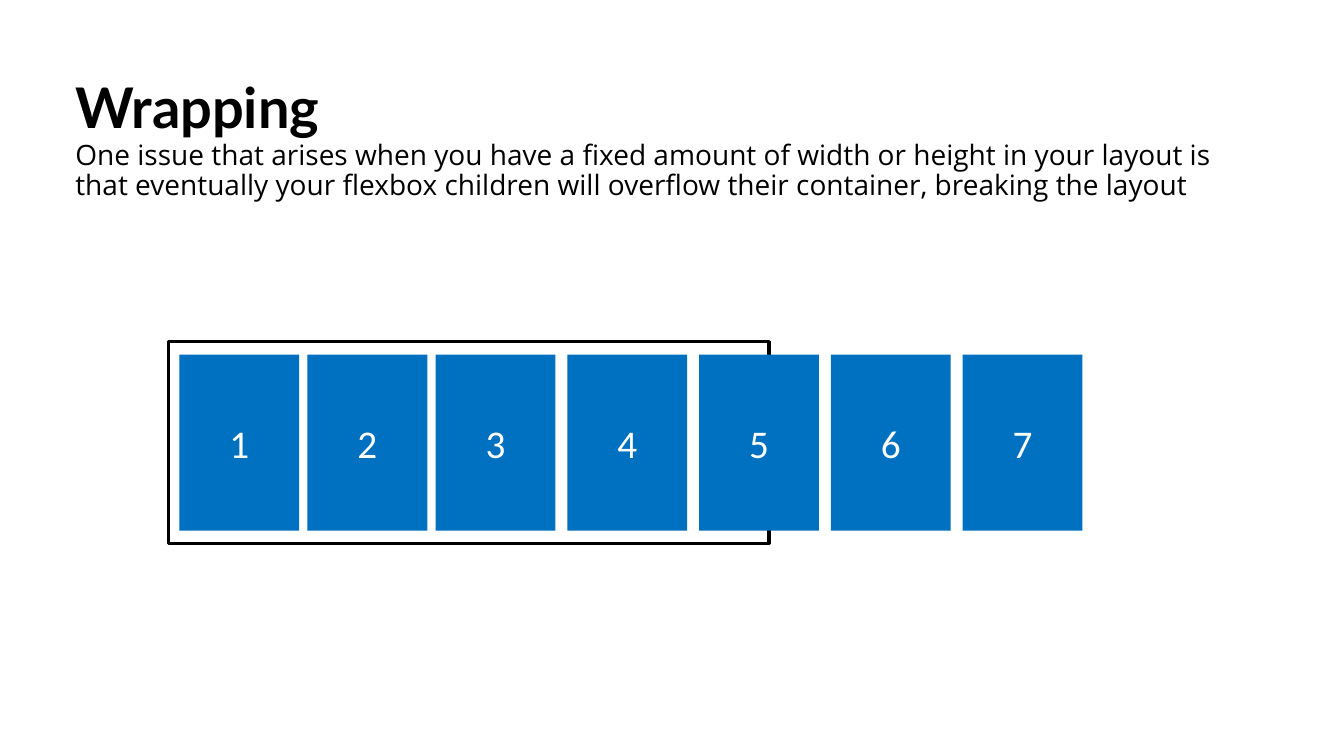
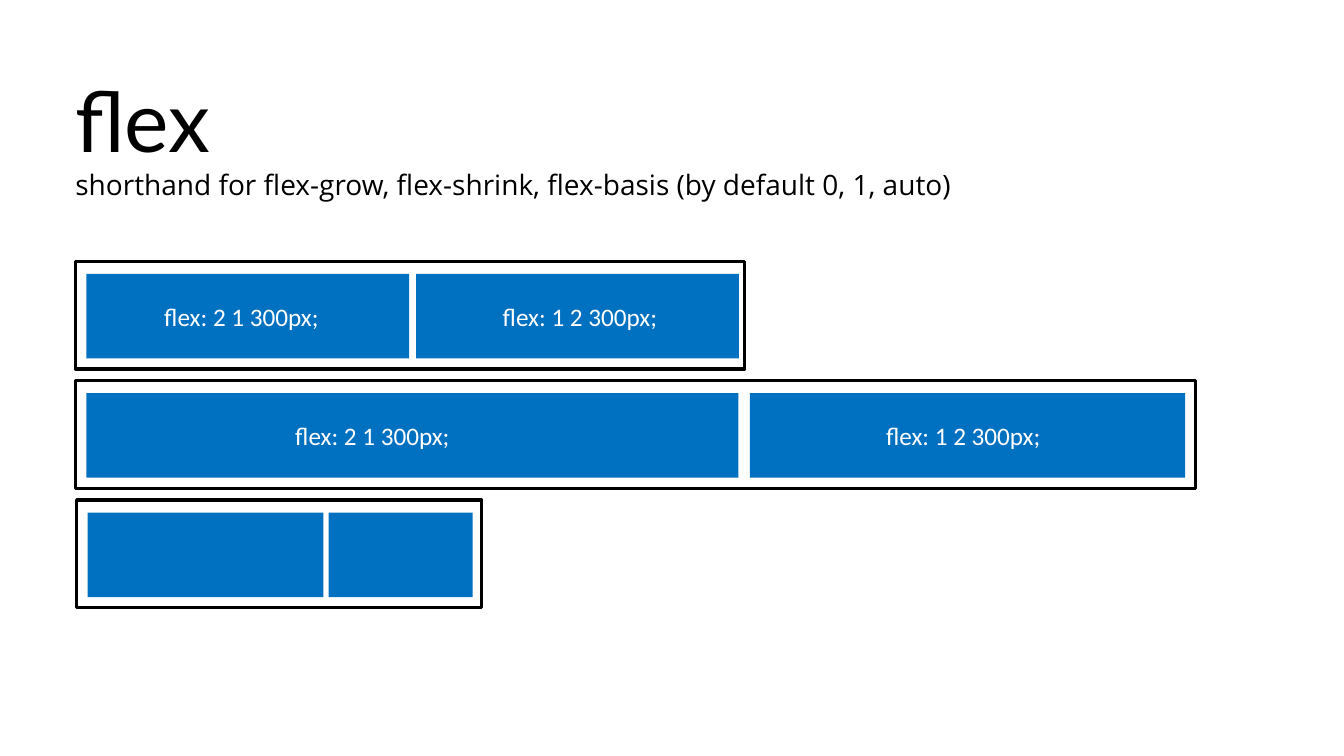
import pptx
import pptx.util
import pptx.dml.color
import pptx.enum.shapes
import pptx.enum.text

Cm, Pt = pptx.util.Cm, pptx.util.Pt
ALIGN = pptx.enum.text.PP_ALIGN
BLACK = pptx.dml.color.RGBColor(0x00, 0x00, 0x00)
WHITE = pptx.dml.color.RGBColor(0xFF, 0xFF, 0xFF)
BLUE = pptx.dml.color.RGBColor(0x00, 0x70, 0xC0)

prs = pptx.Presentation()
prs.slide_width, prs.slide_height = Cm(33.87), Cm(19.05)


def add_titled_slide(title, size, bold, description):
    s = prs.slides.add_slide(prs.slide_layouts[6])
    tf = s.shapes.add_textbox(Cm(1.9), Cm(1.9), Cm(30.05), Cm(4)).text_frame
    tf.word_wrap = True
    tf.margin_left = 0
    tf.text = f"{title}\n{description}"
    styles = [("Lato", size, bold), ("Open Sans", 20, False)]
    for p, (name, points, heavy) in zip(tf.paragraphs, styles):
        p.line_spacing = 0.9
        font = p.runs[0].font
        font.name, font.size, font.bold = name, Pt(points), heavy
        font.color.rgb = BLACK
    return s


def add_rect(s, left, top, width, height, fill=None, label="", size=18, inset=None):
    """Add a filled box, or an outlined container when fill is None.

    The label is centred unless an inset from the left edge is given.
    """
    sp = s.shapes.add_shape(pptx.enum.shapes.MSO_SHAPE.RECTANGLE,
                            Cm(left), Cm(top), Cm(width), Cm(height))
    sp.shadow.inherit = False
    if fill is None:
        sp.fill.background()
        sp.line.color.rgb = BLACK
        sp.line.width = Pt(2.25)
    else:
        sp.fill.solid()
        sp.fill.fore_color.rgb = fill
        sp.line.fill.background()
    if label:
        tf = sp.text_frame
        tf.text = label
        p = tf.paragraphs[0]
        p.alignment = ALIGN.CENTER
        if inset is not None:
            p.alignment = ALIGN.LEFT
            tf.margin_left, tf.margin_right = Cm(inset), 0
        font = p.runs[0].font
        font.name, font.size = "Calibri", Pt(size)
        font.color.rgb = WHITE


# Slide 1: children overflowing a fixed-width container
s = add_titled_slide(
    "Wrapping", 40, True,
    "One issue that arises when you have a fixed amount of width or height in "
    "your layout is that eventually your flexbox children will overflow their "
    "container, breaking the layout")
add_rect(s, 4.24, 8.61, 15.14, 5.08)
left = 4.52
for number in range(1, 8):
    add_rect(s, left, 8.94, 3.02, 4.43, BLUE, str(number), 28)
    left += 3.23 if number < 3 else 3.32

# Slide 2: the same two children in three container widths
s = add_titled_slide(
    "flex", 60, False,
    "shorthand for flex-grow, flex-shrink, flex-basis (by default 0, 1, auto)")
GROW, SHRINK = "flex: 2 1 300px;", "flex: 1 2 300px;"
# container left and width, then left, width, label and label inset of each child
rows = [
    (1.9, 16.87, [(2.18, 8.13, GROW, 1.96), (10.49, 8.13, SHRINK, 2.18)]),
    (1.9, 28.24, [(2.18, 16.43, GROW, 5.26), (18.9, 10.97, SHRINK, 3.43)]),
    (1.93, 10.21, [(2.21, 5.94, "", None), (8.28, 3.63, "", None)]),
]
for i, (frame_left, frame_width, children) in enumerate(rows):
    top = 6.58 + 3.01 * i
    add_rect(s, frame_left, top, frame_width, 2.72)
    for left, width, label, inset in children:
        add_rect(s, left, top + 0.32, width, 2.13, BLUE, label, inset=inset)

prs.save("out.pptx")
